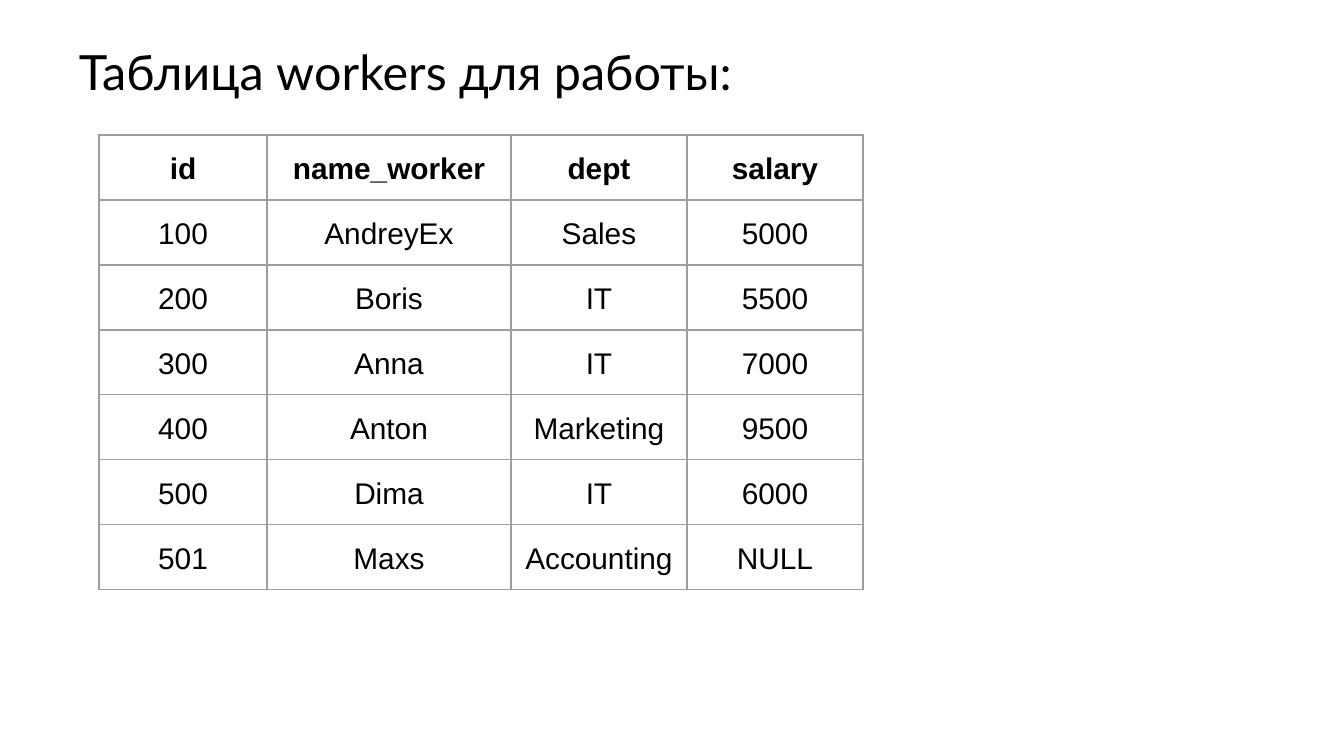
import pptx
import pptx.dml.color
import pptx.enum.text
import pptx.oxml.ns
import pptx.util
from lxml import etree

EMU_PER_PX = 914400 / 134.4
BLACK = "000000"
GRID_GRAY = "9E9E9E"
COLUMN_WIDTHS = [168, 244, 176, 176]
ROW_HEIGHT = 65
CELL_MARGIN = 13
WORKERS = [
    ["id", "name_worker", "dept", "salary"],
    ["100", "AndreyEx", "Sales", "5000"],
    ["200", "Boris", "IT", "5500"],
    ["300", "Anna", "IT", "7000"],
    ["400", "Anton", "Marketing", "9500"],
    ["500", "Dima", "IT", "6000"],
    ["501", "Maxs", "Accounting", "NULL"],
]


def px(length):
    return pptx.util.Emu(round(length * EMU_PER_PX))


def color(value):
    return pptx.dml.color.RGBColor.from_string(value)


def set_margins(target, margin):
    target.margin_left = target.margin_right = px(margin)
    target.margin_top = target.margin_bottom = px(margin)


def format_runs(paragraph, name, size, bold=False):
    for run in paragraph.runs:
        run.font.name = name
        run.font.size = pptx.util.Pt(size)
        run.font.bold = bold
        run.font.color.rgb = color(BLACK)


def set_title(slide, text):
    title = slide.shapes.title
    title.left, title.top, title.width, title.height = map(px, (79, 42, 958, 74))
    text_frame = title.text_frame
    text_frame.text = text
    text_frame.word_wrap = True
    text_frame.auto_size = pptx.enum.text.MSO_AUTO_SIZE.NONE
    text_frame.vertical_anchor = pptx.enum.text.MSO_ANCHOR.TOP
    set_margins(text_frame, 0)
    paragraph = text_frame.paragraphs[0]
    paragraph.alignment = pptx.enum.text.PP_ALIGN.LEFT
    format_runs(paragraph, "Lato", 26)


def add_borders(cell, line_color, width):
    properties = cell._tc.get_or_add_tcPr()
    qn = pptx.oxml.ns.qn
    for side in ("lnL", "lnR", "lnT", "lnB"):
        line = etree.SubElement(properties, qn(f"a:{side}"), w=str(pptx.util.Pt(width)))
        fill = etree.SubElement(line, qn("a:solidFill"))
        etree.SubElement(fill, qn("a:srgbClr"), val=line_color)


def format_cell(cell, text, bold):
    cell.text_frame.text = text
    set_margins(cell, CELL_MARGIN)
    add_borders(cell, GRID_GRAY, 0.75)
    cell.fill.background()
    paragraph = cell.text_frame.paragraphs[0]
    paragraph.alignment = pptx.enum.text.PP_ALIGN.CENTER
    paragraph.line_spacing = 1.15
    format_runs(paragraph, "Arial", 16, bold)


def add_workers_table(slide, left, top):
    table = slide.shapes.add_table(
        len(WORKERS), len(COLUMN_WIDTHS), px(left), px(top),
        px(sum(COLUMN_WIDTHS)), px(ROW_HEIGHT * len(WORKERS)),
    ).table
    table.first_row = table.horz_banding = False
    for column, width in zip(table.columns, COLUMN_WIDTHS):
        column.width = px(width)
    for row_index, (row, values) in enumerate(zip(table.rows, WORKERS)):
        row.height = px(ROW_HEIGHT)
        for cell, value in zip(row.cells, values):
            format_cell(cell, value, bold=row_index == 0)


def main():
    presentation = pptx.Presentation()
    presentation.slide_width = px(1344)
    presentation.slide_height = px(756)
    slide = presentation.slides.add_slide(presentation.slide_layouts[5])
    set_title(slide, "Таблица workers для работы:")
    add_workers_table(slide, 99, 135)
    presentation.save("out.pptx")


if __name__ == "__main__":
    main()
